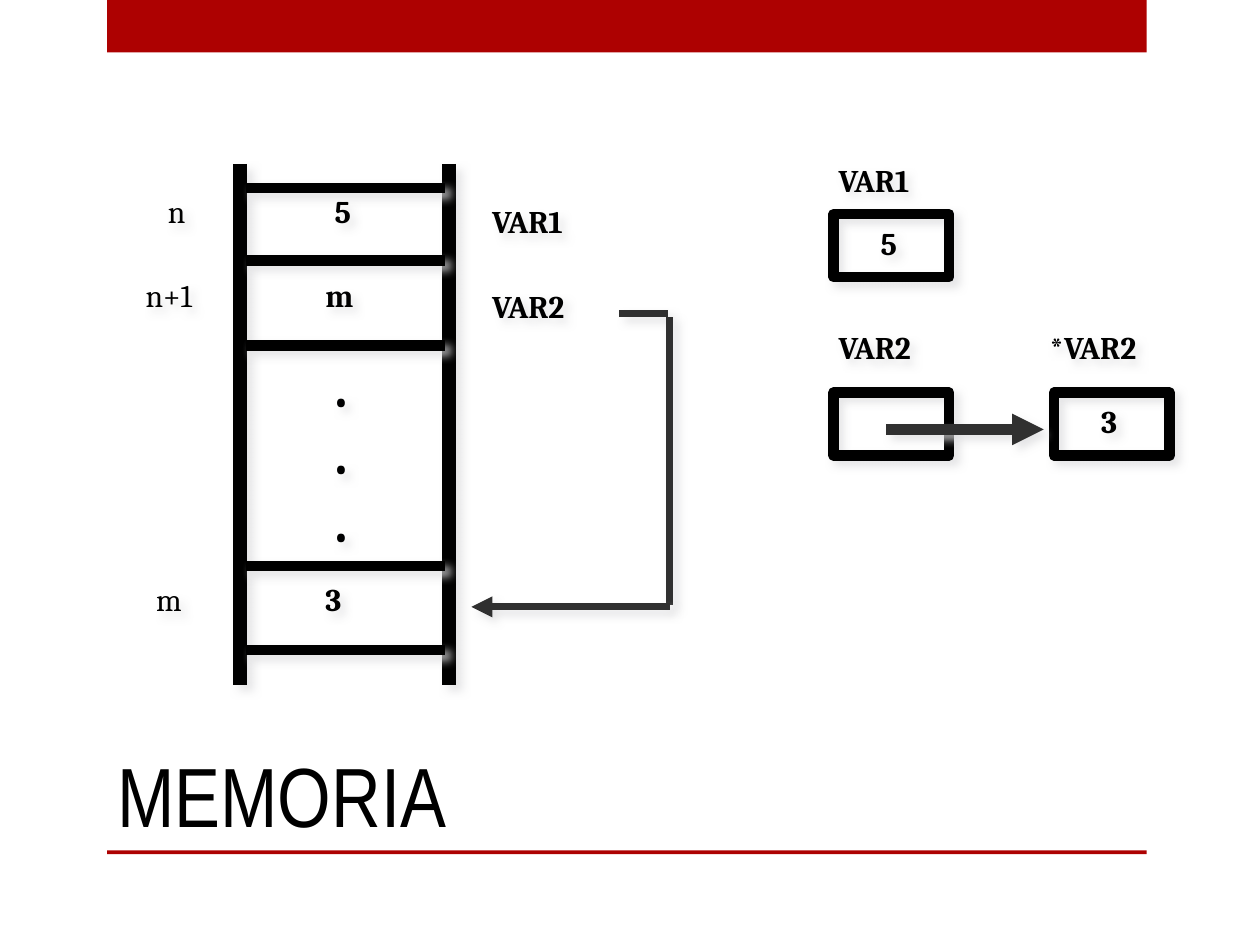
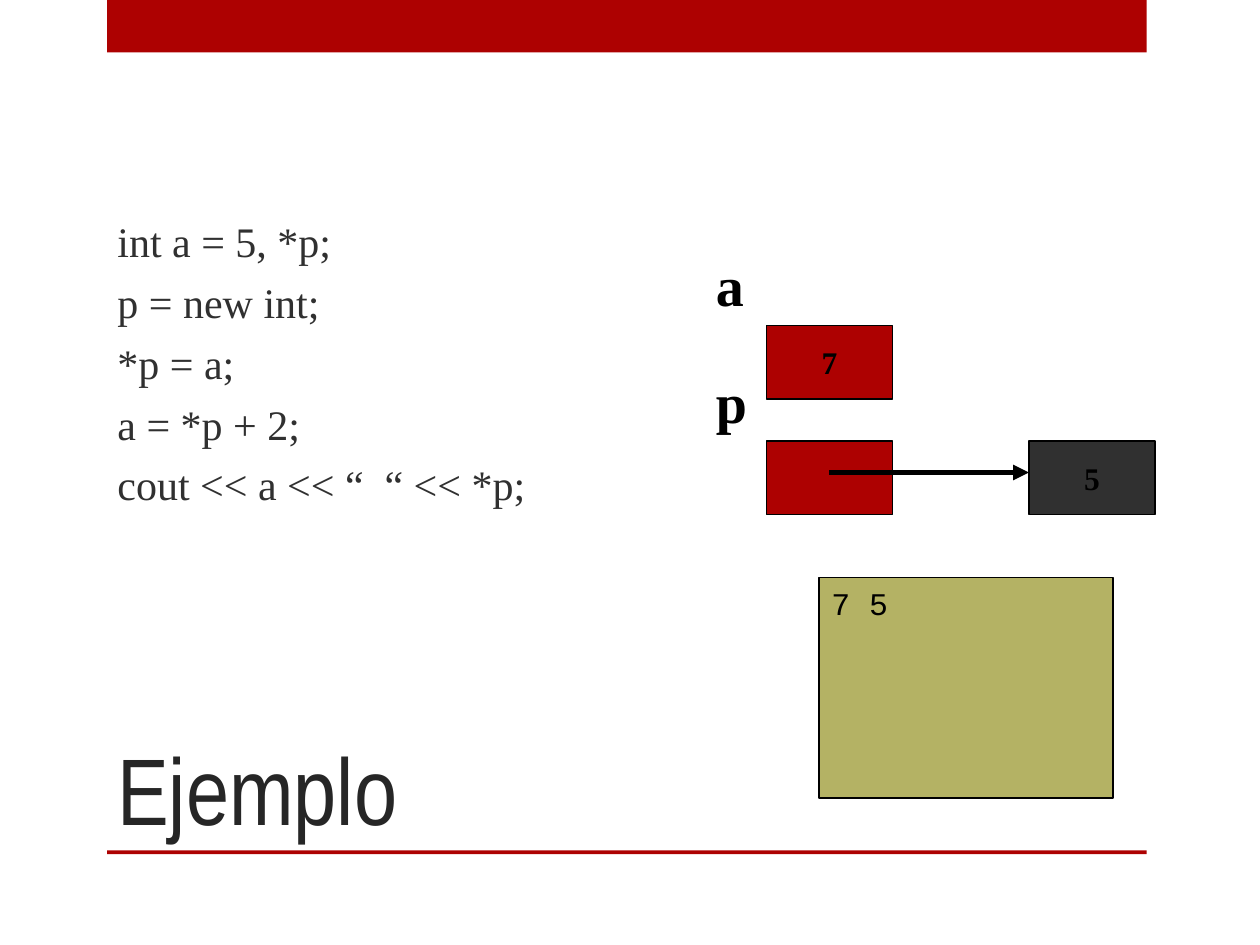
from dataclasses import dataclass

from lxml import etree
from pptx import Presentation
from pptx.dml.color import RGBColor
from pptx.enum.shapes import MSO_CONNECTOR, MSO_SHAPE
from pptx.enum.text import MSO_ANCHOR, MSO_AUTO_SIZE, PP_ALIGN
from pptx.oxml.ns import qn
from pptx.util import Inches, Pt

STRAIGHT = MSO_CONNECTOR.STRAIGHT
RECTANGLE = MSO_SHAPE.RECTANGLE
TOP, MIDDLE, BOTTOM = MSO_ANCHOR.TOP, MSO_ANCHOR.MIDDLE, MSO_ANCHOR.BOTTOM
LEFT, CENTER = PP_ALIGN.LEFT, PP_ALIGN.CENTER
GROW = MSO_AUTO_SIZE.SHAPE_TO_FIT_TEXT

RED = RGBColor(0xAD, 0x01, 0x01)
BLACK = RGBColor(0x00, 0x00, 0x00)
CHARCOAL = RGBColor(0x30, 0x30, 0x30)
TITLE_GRAY = RGBColor(0x26, 0x26, 0x26)
OLIVE = RGBColor(0xB4, 0xB2, 0x64)
SHADOW_GRAY = RGBColor(0xDE, 0xDE, 0xE0)

SLIDE_WIDTH, SLIDE_HEIGHT = Inches(10), Inches(7.5)
COLUMNS, ROWS = 120, 90


def across(columns: float) -> int:
    return round(SLIDE_WIDTH * columns / COLUMNS)


def down(rows: float) -> int:
    return round(SLIDE_HEIGHT * rows / ROWS)


@dataclass(frozen=True)
class Area:
    column: float
    row: float
    columns: float
    rows: float

    def lengths(self) -> tuple[int, int, int, int]:
        return across(self.column), down(self.row), across(self.columns), down(self.rows)


@dataclass(frozen=True)
class Style:
    font: str
    size: float
    color: RGBColor = BLACK
    bold: bool = False


@dataclass(frozen=True)
class Label:
    text: str
    area: Area
    style: Style


@dataclass(frozen=True)
class Stroke:
    start: tuple[float, float]
    end: tuple[float, float]
    width: float
    color: RGBColor = BLACK
    arrow: bool = False


@dataclass(frozen=True)
class Box:
    area: Area
    fill: RGBColor | None = None
    line_width: float = 0
    text: str = ""
    style: Style | None = None
    align: PP_ALIGN = CENTER
    anchor: MSO_ANCHOR = MIDDLE


ADDRESS = Style("Cambria", 18)
MEMORY = Style("Cambria", 18, bold=True)
DOTS = Style("Cambria", 32, bold=True)
CODE = Style("Times New Roman", 24, CHARCOAL)
VARIABLE = Style("Times New Roman", 32, bold=True)
VALUE = Style("Times New Roman", 18, bold=True)
CONSOLE = Style("Courier New", 18)

TITLE_AREA = Area(10, 60, 89, 21)
BODY_AREA = Area(10, 9, 99, 51)
BANDS = [Box(Area(10.2, 0, 99, 5), RED), Box(Area(10.2, 81, 99, 0.36), RED)]


def set_effects(properties, shadowed: bool) -> None:
    effects = properties.find(qn("a:effectLst"))
    if effects is None:
        effects = etree.SubElement(properties, qn("a:effectLst"))
    if shadowed:
        shadow = etree.SubElement(effects, qn("a:outerShdw"), blurRad=str(Pt(5)),
                                  dist=str(Pt(4.2)), dir="2700000")
        color = etree.SubElement(shadow, qn("a:srgbClr"), val=str(SHADOW_GRAY))
        etree.SubElement(color, qn("a:alpha"), val="75000")


def write(frame, lines: list[str], style: Style, align=LEFT, anchor=TOP, before: float = 0) -> None:
    frame.vertical_anchor = anchor
    for index, line in enumerate(lines):
        paragraph = frame.add_paragraph() if index else frame.paragraphs[0]
        paragraph.text = line
        paragraph.alignment = align
        paragraph.space_before = Pt(before)
        paragraph.font.name = style.font
        paragraph.font.size = Pt(style.size)
        paragraph.font.bold = style.bold
        paragraph.font.color.rgb = style.color


def draw_text(slide, lines: list[str], area: Area, style: Style, anchor=TOP, before: float = 0):
    shape = slide.shapes.add_textbox(*area.lengths())
    shape.text_frame.word_wrap = True
    write(shape.text_frame, lines, style, anchor=anchor, before=before)
    return shape


def draw_label(slide, label: Label, shadowed: bool = False, wrap: bool = False) -> None:
    shape = draw_text(slide, [label.text], label.area, label.style)
    shape.text_frame.word_wrap = wrap
    shape.text_frame.auto_size = GROW
    if shadowed:
        set_effects(shape.element.spPr, True)


def draw_box(slide, box: Box, shadowed: bool = False) -> None:
    shape = slide.shapes.add_shape(RECTANGLE, *box.area.lengths())
    if box.fill is None:
        shape.fill.background()
    else:
        shape.fill.solid()
        shape.fill.fore_color.rgb = box.fill
    if box.line_width:
        shape.line.color.rgb = BLACK
        shape.line.width = Pt(box.line_width)
    else:
        shape.line.fill.background()
    shape.shadow.inherit = False
    set_effects(shape.element.spPr, shadowed)
    if box.style:
        write(shape.text_frame, [box.text], box.style, box.align, box.anchor)


def draw_stroke(slide, stroke: Stroke, shadowed: bool = False) -> None:
    (start_column, start_row), (end_column, end_row) = stroke.start, stroke.end
    connector = slide.shapes.add_connector(STRAIGHT, across(start_column), down(start_row),
                                           across(end_column), down(end_row))
    connector.line.color.rgb = stroke.color
    connector.line.width = Pt(stroke.width)
    if stroke.arrow:
        etree.SubElement(connector.line._get_or_add_ln(), qn("a:tailEnd"), type="triangle")
    set_effects(connector.element.spPr, shadowed)


def start_slide(presentation, title: str, style: Style):
    slide = presentation.slides.add_slide(presentation.slide_layouts[6])
    for band in BANDS:
        draw_box(slide, band)
    draw_text(slide, [title], TITLE_AREA, style, BOTTOM)
    return slide


def build_memory_slide(presentation) -> None:
    slide = start_slide(presentation, "MEMORIA", Style("Arial Narrow", 48))
    rails = [Stroke((column, 15.6), (column, 65.2), 8) for column in (22.9, 42.8)]
    rungs = [Stroke((23.4, row), (42.4, row), 6) for row in (17.9, 24.8, 32.9, 53.9, 61.9)]
    pointer_path = [
        Stroke((59, 29.9), (63.6, 29.9), 4, CHARCOAL),
        Stroke((63.8, 30.2), (63.8, 57.6), 4, CHARCOAL),
        Stroke((63.8, 57.8), (44.9, 57.8), 4, CHARCOAL, arrow=True),
    ]
    for stroke in rails + rungs + pointer_path:
        draw_stroke(slide, stroke, shadowed=True)
    for column, row in ((79.4, 20.4), (79.4, 37.4), (100.4, 37.4)):
        draw_box(slide, Box(Area(column, row, 11, 6), line_width=6), shadowed=True)
    draw_stroke(slide, Stroke((84.4, 40.9), (99.4, 40.9), 6, CHARCOAL, arrow=True), shadowed=True)

    labels = [
        ("n", 14.8, 17.7, 4.3, ADDRESS),
        ("n+1", 12.7, 25.7, 8.6, ADDRESS),
        ("m", 13.7, 54.7, 5.5, ADDRESS),
        ("5", 30.7, 17.7, 4.3, MEMORY),
        ("m", 29.8, 25.7, 5.8, MEMORY),
        ("3", 29.8, 54.7, 4.3, MEMORY),
        ("VAR1", 45.7, 18.7, 13.1, MEMORY),
        ("VAR2", 45.7, 26.7, 13.1, MEMORY),
        ("VAR1", 78.7, 14.7, 13.1, MEMORY),
        ("VAR2", 78.7, 30.7, 13.1, MEMORY),
        ("*VAR2", 98.8, 30.7, 15.1, MEMORY),
        ("5", 82.7, 20.7, 4.3, MEMORY),
        ("3", 103.7, 37.7, 4.3, MEMORY),
    ]
    for text, column, row, columns, style in labels:
        draw_label(slide, Label(text, Area(column, row, columns, 6), style), shadowed=True)
    draw_label(slide, Label("...", Area(30.7, 32.9, 4.2, 20.4), DOTS), shadowed=True, wrap=True)


def build_example_slide(presentation) -> None:
    slide = start_slide(presentation, "Ejemplo", Style("Arial Narrow", 54, TITLE_GRAY))
    code = ["int a = 5, *p;", "p = new int;", "*p = a;", "a = *p + 2;", "cout << a << “  “ << *p;"]
    draw_text(slide, code, BODY_AREA, CODE, MIDDLE, before=6)
    boxes = [
        Box(Area(73, 31, 12, 7), RED, 1, "7", VALUE),
        Box(Area(73, 42, 12, 7), RED, 1),
        Box(Area(98, 42, 12, 7), CHARCOAL, 1, "5", VALUE),
        Box(Area(78, 55, 28, 21), OLIVE, 1, "7 5", CONSOLE, LEFT, TOP),
    ]
    for box in boxes:
        draw_box(slide, box)
    for name, row in (("a", 23.3), ("p", 34.4)):
        draw_label(slide, Label(name, Area(67, row, 5.4, 7.6), VARIABLE))
    draw_stroke(slide, Stroke((79, 45), (98, 45), 3, arrow=True))


def main() -> None:
    presentation = Presentation()
    presentation.slide_width, presentation.slide_height = SLIDE_WIDTH, SLIDE_HEIGHT
    build_memory_slide(presentation)
    build_example_slide(presentation)
    presentation.save("out.pptx")


main()
